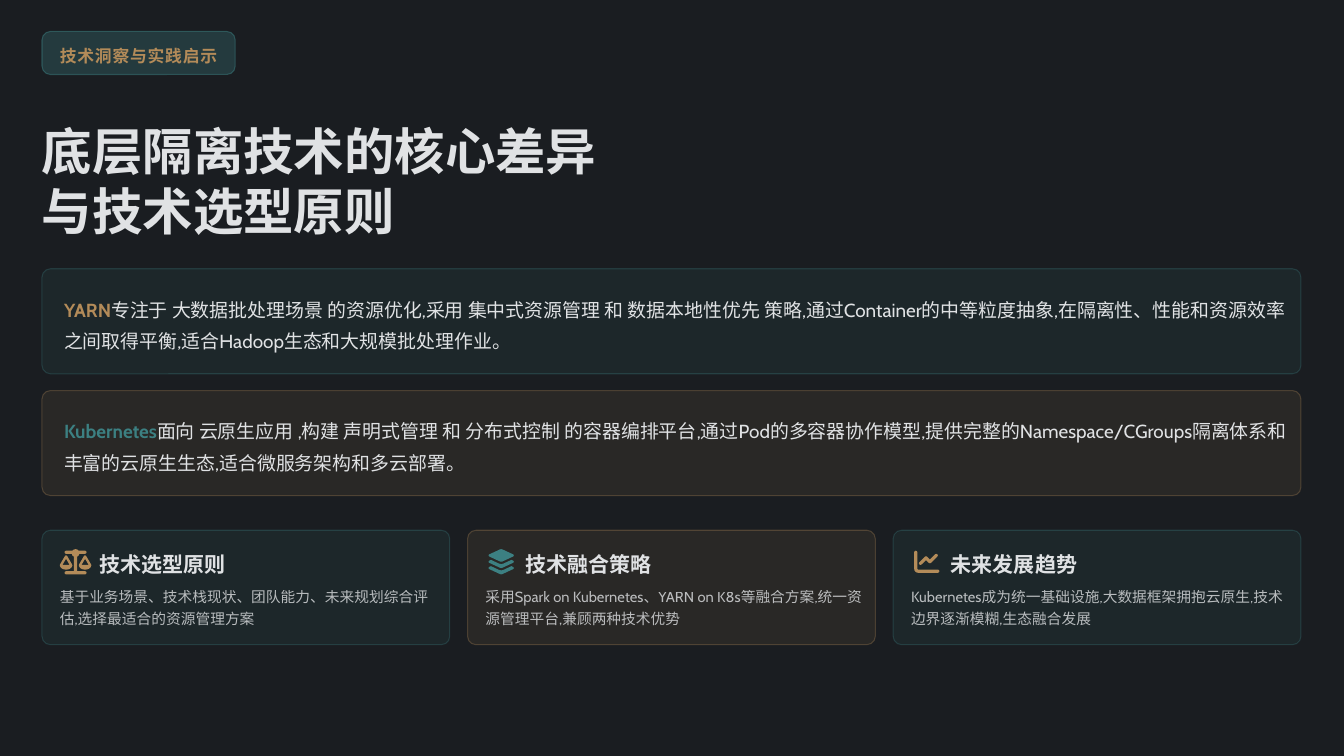
from pptx import Presentation
from pptx import util as u
from pptx.dml.color import RGBColor
from pptx.enum import shapes, text
from pptx.oxml.ns import qn

PX = 12700  # EMU per px on a 1280 x 720 slide
FONT = "Cabin"
DARK, LIGHT, TEAL, GOLD = "1A1D21", "E0E2E4", "3C8082", "B38B59"
RADIUS = 8

# Icon outlines on a grid 512 units high
ICON_GRID, ICON_HEIGHT = 512, 24


def mirrored(points, axis):
    return [(2 * axis - x, y) for x, y in points]


SCALE_PAN = [(1, 337), (0, 325), (8, 305), (103, 142), (113, 131), (127, 128),
             (141, 131), (151, 142), (246, 305), (254, 325), (253, 337), (237, 371),
             (207, 397), (170, 412), (127, 416), (84, 412), (47, 397), (17, 371)]
SCALE_HOLE = [(127, 196), (54, 320), (199, 320)]
SCALE_HALF = [(320, 0), (284, 8), (256, 32), (128, 32), (105, 41), (96, 64),
              (105, 87), (128, 96), (242, 96), (258, 131), (288, 153), (288, 448),
              (128, 448), (105, 457), (96, 480), (105, 503), (128, 512)]
SCALE = [SCALE_HALF + mirrored(SCALE_HALF, 320)[::-1],
         SCALE_PAN, SCALE_HOLE, mirrored(SCALE_PAN, 320), mirrored(SCALE_HOLE, 320)]

LAYER_TOP = [(256, 0), (232, 5), (14, 106), (4, 115), (0, 128), (4, 141), (14, 150),
             (232, 251), (256, 256)]
LAYER_LOWER = [(256, 304), (212, 294), (48, 218), (14, 234), (4, 243), (0, 256),
               (4, 269), (14, 278), (232, 379), (256, 384)]
LAYERS = [half + mirrored(half, 256)[::-1] for half in
          (LAYER_TOP, LAYER_LOWER, [(x, y + 128) for x, y in LAYER_LOWER])]

TREND = [
    [(64, 64), (55, 41), (32, 32), (9, 41), (0, 64), (0, 400), (6, 431), (23, 457),
     (49, 474), (80, 480), (480, 480), (503, 471), (512, 448), (503, 425), (480, 416),
     (80, 416), (69, 411), (64, 400)],
    [(471, 151), (480, 128), (471, 105), (448, 96), (425, 105), (320, 211), (263, 153),
     (240, 144), (217, 153), (105, 265), (96, 288), (105, 311), (128, 320), (151, 311),
     (240, 221), (297, 279), (320, 288), (343, 279)],
]

PANELS = [
    (TEAL, GOLD, "YARN",
     "专注于 大数据批处理场景 的资源优化,采用 集中式资源管理 和 数据本地性优先 策略,"
     "通过Container的中等粒度抽象,在隔离性、性能和资源效率之间取得平衡,"
     "适合Hadoop生态和大规模批处理作业。"),
    (GOLD, TEAL, "Kubernetes",
     "面向 云原生应用 ,构建 声明式管理 和 分布式控制 的容器编排平台,"
     "通过Pod的多容器协作模型,提供完整的Namespace/CGroups隔离体系和丰富的云原生生态,"
     "适合微服务架构和多云部署。"),
]
CARDS = [
    (TEAL, GOLD, SCALE, 17, "技术选型原则",
     "基于业务场景、技术栈现状、团队能力、未来规划综合评估,选择最适合的资源管理方案"),
    (GOLD, TEAL, LAYERS, 20, "技术融合策略",
     "采用Spark on Kubernetes、YARN on K8s等融合方案,统一资源管理平台,兼顾两种技术优势"),
    (TEAL, GOLD, TREND, 20, "未来发展趋势",
     "Kubernetes成为统一基础设施,大数据框架拥抱云原生,技术边界逐渐模糊,生态融合发展"),
]


def px(*values):
    return [round(value * PX) for value in values]


def color(hex_value):
    return RGBColor.from_string(hex_value)


def fade(shape, *percents):
    """Set the opacity of the shape's colours, in the order they occur."""
    for tone, percent in zip(shape.element.iter(qn("a:srgbClr")), percents):
        tone.makeelement(qn("a:alpha"), {})
        alpha = tone.makeelement(qn("a:alpha"), {"val": str(percent * 1000)})
        tone.append(alpha)


def add_frame(slide, box, tint, fill_opacity, line_opacity):
    frame = slide.shapes.add_shape(shapes.MSO_SHAPE.ROUNDED_RECTANGLE, *px(*box))
    frame.adjustments[0] = RADIUS / min(box[2:])
    frame.shadow.inherit = False
    frame.fill.solid()
    frame.fill.fore_color.rgb = color(tint)
    frame.line.color.rgb = color(tint)
    frame.line.width = u.Pt(1)
    fade(frame, fill_opacity, line_opacity)


def add_text(slide, box, lines, size, tint=LIGHT, bold=False, spacing=None):
    """Each line is a list of (words, accent colour or None)."""
    label = slide.shapes.add_textbox(*px(*box))
    frame = label.text_frame
    frame.word_wrap = True
    frame.vertical_anchor = text.MSO_ANCHOR.MIDDLE
    frame.margin_left = frame.margin_top = frame.margin_right = frame.margin_bottom = 0
    for index, line in enumerate(lines):
        paragraph = frame.add_paragraph() if index else frame.paragraphs[0]
        paragraph.line_spacing = spacing
        font = paragraph.font
        font.name, font.size, font.bold = FONT, u.Pt(size), bold
        font.color.rgb = color(tint)
        for words, accent in line:
            run = paragraph.add_run()
            run.text = words
            if accent:
                run.font.bold = True
                run.font.color.rgb = color(accent)
    return label


def add_icon(slide, x, y, contours, tint):
    first, *others = contours
    builder = slide.shapes.build_freeform(*first[0], scale=ICON_HEIGHT * PX / ICON_GRID)
    builder.add_line_segments(first[1:])
    for contour in others:
        builder.move_to(*contour[0])
        builder.add_line_segments(contour[1:])
    icon = builder.convert_to_shape(*px(x, y))
    icon.shadow.inherit = False
    icon.fill.solid()
    icon.fill.fore_color.rgb = color(tint)
    icon.line.fill.background()


def add_tag(slide, box, words):
    x, y, width, height = box
    add_frame(slide, box, TEAL, 30, 50)
    label = add_text(slide, (x + 17, y + 10, width - 25, height - 20),
                     [[(words, None)]], 16, GOLD, True, 1.3)
    for properties in label.element.iter(qn("a:defRPr")):
        properties.set("spc", "80")


def add_panel(slide, box, tint, accent, subject, statement):
    x, y, width, height = box
    add_frame(slide, box, tint, 10, 30)
    add_text(slide, (x + 21, y + 20, width - 32, height - 41),
             [[(subject, accent), (statement, None)]], 18, spacing=1.4)


def add_card(slide, box, tint, accent, icon, icon_left, heading, detail):
    x, y, width, height = box
    add_frame(slide, box, tint, 10, 30)
    add_icon(slide, x + icon_left, y + 18, icon, accent)
    add_text(slide, (x + 55, y + 16, 130, 28), [[(heading, None)]], 20, bold=True, spacing=1.2)
    body = add_text(slide, (x + 17, y + 52, width - 26, height - 69),
                    [[(detail, None)]], 14, spacing=1.2)
    fade(body, 80)


def main():
    deck = Presentation()
    deck.slide_width, deck.slide_height = px(1280, 720)
    slide = deck.slides.add_slide(deck.slide_layouts[6])
    slide.background.fill.solid()
    slide.background.fill.fore_color.rgb = color(DARK)

    # Tag and title
    left, width = 40, 1199
    add_tag(slide, (left, 30, 184, 41), "技术洞察与实践启示")
    add_text(slide, (left, 112, 1224, 120),
             [[("底层隔离技术的核心差异", None)], [("与技术选型原则", None)]], 48, bold=True)

    # Two platform statements
    for row, panel in enumerate(PANELS):
        add_panel(slide, (left, 256 + row * 116, width, 100), *panel)

    # Three takeaways
    gap = 17
    card_width = (width - gap * (len(CARDS) - 1)) / len(CARDS)
    for column, card in enumerate(CARDS):
        add_card(slide, (left + column * (card_width + gap), 505, card_width, 109), *card)

    deck.save("out.pptx")


if __name__ == "__main__":
    main()
